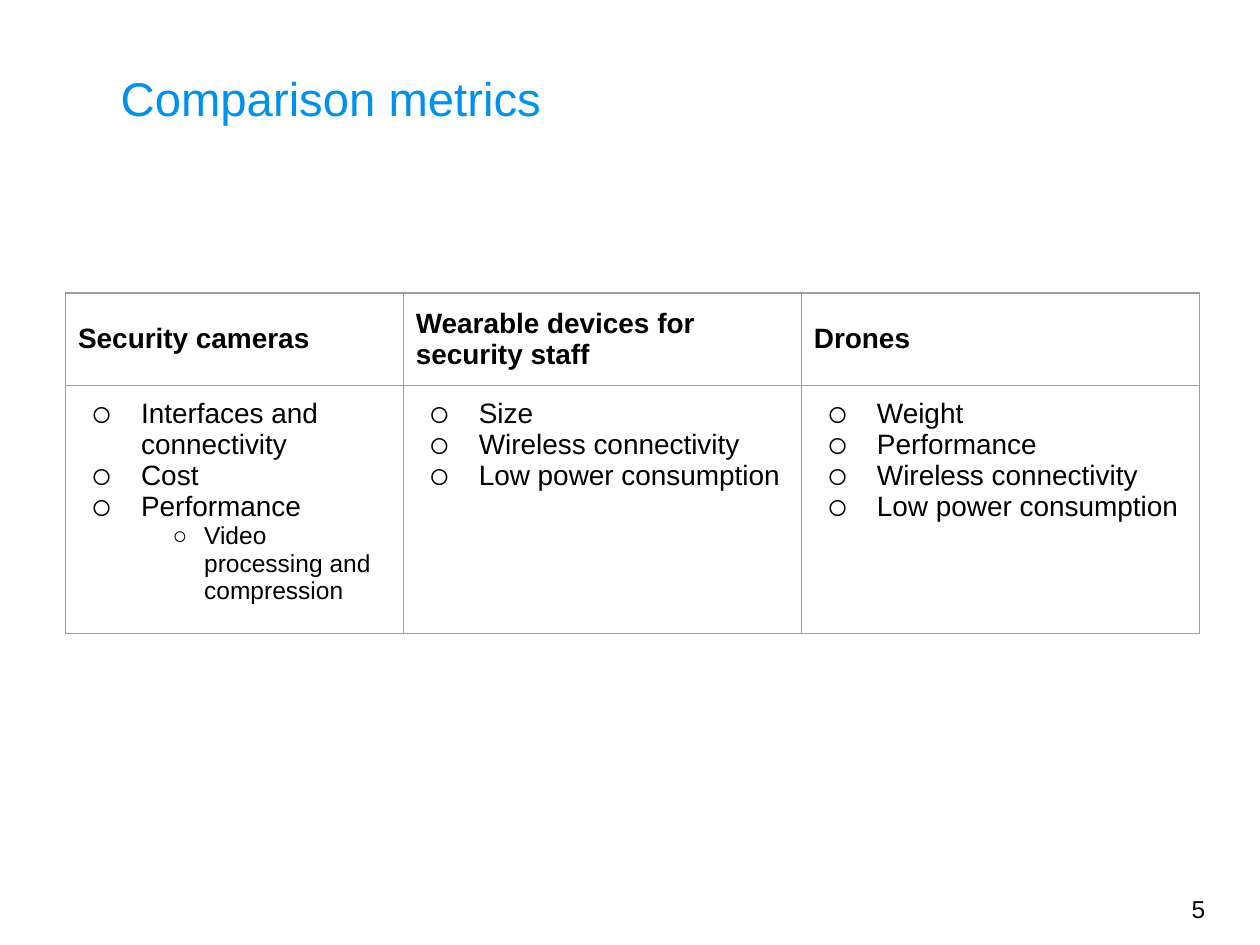
"""Build the comparison metrics slide."""
from dataclasses import dataclass

from lxml import etree
from pptx import Presentation
from pptx.dml.color import RGBColor
from pptx.enum.text import MSO_ANCHOR
from pptx.oxml.ns import qn
from pptx.util import Inches, Pt

TOP, MIDDLE = MSO_ANCHOR.TOP, MSO_ANCHOR.MIDDLE
WIDTH, HEIGHT = Inches(10), Inches(7.5)
INSET = Inches(0.1)
FONT, BLACK, BLUE, GREY = "Arial", "000000", "0091EA", "9E9E9E"
COL_SHARES = (0.268, 0.316, 0.316)
ROW_SHARE = 0.056


@dataclass(frozen=True)
class Bullet:
    text: str
    level: int = 0


@dataclass(frozen=True)
class Category:
    name: str
    metrics: tuple[Bullet, ...]


@dataclass(frozen=True)
class BulletStyle:
    indent: float
    hang: float
    scale: int
    size: int


BULLET_STYLES = (BulletStyle(0.5, 0.4, 131, 16), BulletStyle(1, 0.25, 100, 14))
CATEGORIES = (
    Category("Security cameras", (
        Bullet("Interfaces and connectivity"),
        Bullet("Cost"),
        Bullet("Performance"),
        Bullet("Video processing and compression", 1),
    )),
    Category("Wearable devices for security staff", (
        Bullet("Size"),
        Bullet("Wireless connectivity"),
        Bullet("Low power consumption"),
    )),
    Category("Drones", (
        Bullet("Weight"),
        Bullet("Performance"),
        Bullet("Wireless connectivity"),
        Bullet("Low power consumption"),
    )),
)


def rgb(value: str) -> RGBColor:
    return RGBColor.from_string(value)


def add_xml(parent, tag: str, **attrs):
    return etree.SubElement(parent, qn(tag), {k: str(v) for k, v in attrs.items()})


def write(p, text: str, size: int = 16, color: str = BLACK, bold: bool = False) -> None:
    r = p.add_run()
    r.text = text
    r.font.name, r.font.size, r.font.bold = FONT, Pt(size), bold
    r.font.color.rgb = rgb(color)


def add_label(s, text: str, x: float, y: float, w: float, h: float,
              anchor=TOP, **fmt) -> None:
    sp = s.shapes.add_textbox(*(round(v) for v in (x * WIDTH, y * HEIGHT, w * WIDTH, h * HEIGHT)))
    tf = sp.text_frame
    tf.word_wrap, tf.vertical_anchor = True, anchor
    tf.margin_left = tf.margin_right = tf.margin_top = tf.margin_bottom = INSET
    write(tf.paragraphs[0], text, **fmt)


def add_bullet(p, bullet: Bullet) -> None:
    style = BULLET_STYLES[bullet.level]
    p.level = bullet.level
    pPr = p._p.get_or_add_pPr()
    pPr.set("marL", str(Inches(style.indent)))
    pPr.set("indent", str(-Inches(style.hang)))
    add_xml(add_xml(pPr, "a:buClr"), "a:srgbClr", val=BLACK)
    add_xml(pPr, "a:buSzPct", val=style.scale * 1000)
    add_xml(pPr, "a:buFont", typeface=FONT)
    add_xml(pPr, "a:buChar", char="○")
    write(p, bullet.text, size=style.size)


def style_cell(cell, anchor) -> None:
    cell.margin_left = cell.margin_right = cell.margin_top = cell.margin_bottom = INSET
    cell.vertical_anchor = anchor
    tcPr = cell._tc.get_or_add_tcPr()
    for side in "LRTB":
        ln = add_xml(tcPr, f"a:ln{side}", w=Pt(0.75))
        add_xml(add_xml(ln, "a:solidFill"), "a:srgbClr", val=GREY)
    cell.fill.background()


def add_metrics_table(s, x: float, y: float, categories: tuple[Category, ...]) -> None:
    table = s.shapes.add_table(
        2, len(categories), round(x * WIDTH), round(y * HEIGHT),
        round(sum(COL_SHARES) * WIDTH), round(2 * ROW_SHARE * HEIGHT)).table
    table.first_row = table.horz_banding = False
    for row in table.rows:
        row.height = round(ROW_SHARE * HEIGHT)
    for i, (category, share) in enumerate(zip(categories, COL_SHARES)):
        table.columns[i].width = round(share * WIDTH)
        head, body = table.cell(0, i), table.cell(1, i)
        style_cell(head, MIDDLE)
        style_cell(body, TOP)
        write(head.text_frame.paragraphs[0], category.name, bold=True)
        tf = body.text_frame
        for n, bullet in enumerate(category.metrics):
            add_bullet(tf.add_paragraph() if n else tf.paragraphs[0], bullet)


def main() -> None:
    prs = Presentation()
    prs.slide_width, prs.slide_height = WIDTH, HEIGHT
    s = prs.slides.add_slide(prs.slide_layouts[6])
    add_label(s, "Comparison metrics", 0.086, 0.06, 0.828, 0.136, size=27, color=BLUE)
    add_metrics_table(s, 0.052, 0.31, CATEGORIES)
    add_label(s, "5", 0.936, 0.924, 0.06, 0.076, anchor=MIDDLE, size=14)
    prs.save("out.pptx")


if __name__ == "__main__":
    main()
